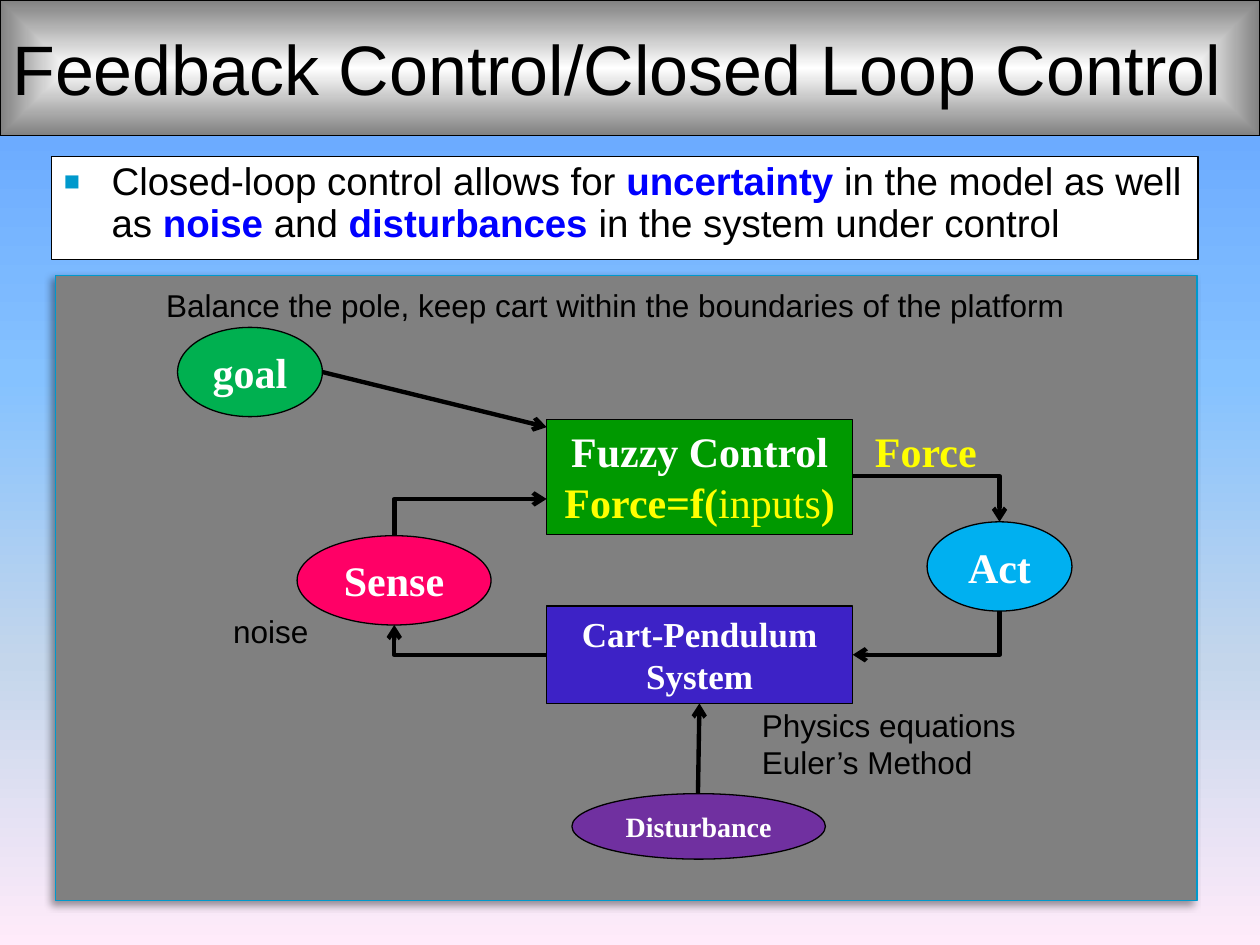
from lxml import etree
from pptx import Presentation
from pptx import util as u
from pptx.dml.color import RGBColor
from pptx.enum import shapes, text
from pptx.oxml import ns

BLACK = RGBColor(0x00, 0x00, 0x00)
WHITE = RGBColor(0xFF, 0xFF, 0xFF)
GREY = RGBColor(0x80, 0x80, 0x80)
TEAL = RGBColor(0x00, 0x99, 0xCC)
BLUE = RGBColor(0x00, 0x00, 0xFF)
YELLOW = RGBColor(0xFF, 0xFF, 0x00)
GREEN = RGBColor(0x00, 0xB0, 0x50)
DARK_GREEN = RGBColor(0x00, 0x99, 0x00)
INDIGO = RGBColor(0x3D, 0x22, 0xC6)
SKY = RGBColor(0x00, 0xB0, 0xF0)
PINK = RGBColor(0xFF, 0x00, 0x66)
PURPLE = RGBColor(0x70, 0x30, 0xA0)
SKY_STOPS = [(0, RGBColor(0x5E, 0x9E, 0xFF)), (40, RGBColor(0x85, 0xC2, 0xFF)),
             (70, RGBColor(0xC4, 0xD6, 0xEB)), (100, RGBColor(0xFF, 0xEB, 0xFA))]
STEEL_STOPS = [(0, WHITE), (100, GREY)]

RECT = shapes.MSO_SHAPE.RECTANGLE
OVAL = shapes.MSO_SHAPE.OVAL
CENTER = text.PP_ALIGN.CENTER
PLAIN = {"name": "Arial", "size": u.Pt(18), "bold": False}
BODY = {**PLAIN, "size": u.Pt(22)}
TITLE = {**PLAIN, "size": u.Pt(40)}
NODE = {"name": "Times New Roman", "size": u.Pt(24), "bold": True}


def add_xml(parent, tag, **attributes):
    return etree.SubElement(parent, ns.qn(tag), attributes)


class Diagram:
    def __init__(self, page):
        self.page = page
        self.line_width = u.Pt(0.75)
        self.arrow_width = u.Pt(2.5)

    def gradient(self, fill, stops, holder):
        """Give a fill colour stops; the holder is the element around it."""
        fill.gradient()
        grad = holder.find(".//" + ns.qn("a:gradFill"))
        for child in list(grad):
            grad.remove(child)
        stop_list = add_xml(grad, "a:gsLst")
        for percent, color in stops:
            stop = add_xml(stop_list, "a:gs", pos=str(percent * 1000))
            add_xml(stop, "a:srgbClr", val=str(color))
        return grad

    def backdrop(self, stops):
        background = self.page.background
        grad = self.gradient(background.fill, stops, self.page._element)
        add_xml(grad, "a:lin", ang="5400000", scaled="0")

    def box(self, kind, place, color, line=BLACK):
        box = self.page.shapes.add_shape(kind, *map(u.Cm, place))
        box.shadow.inherit = False
        box.fill.solid()
        box.fill.fore_color.rgb = color
        box.line.color.rgb = line
        box.line.width = self.line_width
        return box

    def drop_shadow(self, box):
        effects = box._element.spPr.find(ns.qn("a:effectLst"))
        shadow = add_xml(effects, "a:outerShdw", blurRad="50800", dist="38100",
                         dir="8100000", algn="tr", rotWithShape="0")
        color = add_xml(shadow, "a:srgbClr", val=str(BLACK))
        add_xml(color, "a:alpha", val="40000")

    def fill_text(self, box, paragraphs, style, align=None, wrap=True,
                  anchor=text.MSO_ANCHOR.TOP):
        """Each paragraph is a list of (wording, colour, changes of style)."""
        frame = box.text_frame
        frame.word_wrap = wrap
        frame.vertical_anchor = anchor
        for number, spans in enumerate(paragraphs):
            para = frame.add_paragraph() if number else frame.paragraphs[0]
            para.alignment = align or text.PP_ALIGN.LEFT
            for wording, color, *changes in spans:
                span = para.add_run()
                span.text = wording
                span.font.color.rgb = color
                values = {**style, **(changes[0] if changes else {})}
                for name, value in values.items():
                    setattr(span.font, name, value)
        return frame

    def title(self, wording, place):
        box = self.box(RECT, place, WHITE)
        grad = self.gradient(box.fill, STEEL_STOPS, box._element)
        center = add_xml(grad, "a:path", path="rect")
        add_xml(center, "a:fillToRect", l="50000", t="50000", r="50000", b="50000")
        self.fill_text(box, [[(wording, BLACK)]], TITLE, wrap=False,
                       anchor=text.MSO_ANCHOR.MIDDLE)

    def bullet(self, spans, place):
        box = self.box(RECT, place, WHITE)
        para = self.fill_text(box, [spans], BODY).paragraphs[0]
        para.line_spacing = 0.9
        props = para._p.get_or_add_pPr()
        props.set("marL", str(u.Cm(0.96)))
        props.set("indent", str(u.Cm(-0.96)))
        add_xml(add_xml(props, "a:buClr"), "a:srgbClr", val=str(TEAL))
        add_xml(props, "a:buSzPct", val="70000")
        add_xml(props, "a:buFont", typeface="Arial")
        add_xml(props, "a:buChar", char="■")

    def node(self, kind, place, color, paragraphs, size=24):
        box = self.box(kind, place, color)
        self.fill_text(box, paragraphs, {**NODE, "size": u.Pt(size)}, CENTER)

    def label(self, wording, place, style=PLAIN, color=BLACK, align=None):
        box = self.page.shapes.add_textbox(*map(u.Cm, place))
        self.fill_text(box, [[(wording, color)]], style, align, wrap=False)

    def arrow(self, start, end, bend=None):
        """A bend of "across" or "down" names the first leg of an elbow."""
        (x1, y1), (x2, y2) = start, end
        if bend == "down":  # lay the elbow on its side, then turn it by 90 degrees
            mid_x, mid_y = (x1 + x2) / 2, (y1 + y2) / 2
            half_w, half_h = (x2 - x1) / 2, (y2 - y1) / 2
            x1, y1 = mid_x - half_h, mid_y + half_w
            x2, y2 = mid_x + half_h, mid_y - half_w
        kind = shapes.MSO_CONNECTOR.ELBOW if bend else shapes.MSO_CONNECTOR.STRAIGHT
        arrow = self.page.shapes.add_connector(kind, *map(u.Cm, (x1, y1, x2, y2)))
        arrow.line.color.rgb = BLACK
        arrow.line.width = self.arrow_width
        props = arrow._element.spPr
        if bend:
            props.find(ns.qn("a:prstGeom")).set("prst", "bentConnector2")
        if bend == "down":
            props.find(ns.qn("a:xfrm")).set("rot", "5400000")
        add_xml(props.find(ns.qn("a:ln")), "a:tailEnd", type="arrow")
        add_xml(props, "a:effectLst")


def main():
    deck = Presentation()
    deck.slide_width, deck.slide_height = u.Cm(25.4), u.Cm(19.05)
    diagram = Diagram(deck.slides.add_slide(deck.slide_layouts[6]))

    # Background, panel and heading
    diagram.backdrop(SKY_STOPS)
    panel = diagram.box(RECT, (1.12, 5.56, 23.01, 12.6), GREY, TEAL)
    diagram.drop_shadow(panel)
    diagram.title("Feedback Control/Closed Loop Control", (0, 0, 25.4, 2.74))
    strong = {"bold": True}
    diagram.bullet([
        ("Closed-loop control allows for ", BLACK), ("uncertainty ", BLUE, strong),
        ("in the model as well as ", BLACK), ("noise", BLUE, strong),
        (" and ", BLACK), ("disturbances ", BLUE, strong),
        ("in the system under control", BLACK)], (1.04, 3.15, 23.11, 2.08))

    # Nodes of the loop
    formula = [("Force=f(", YELLOW), ("inputs", YELLOW, {"bold": False}), (")", YELLOW)]
    diagram.node(OVAL, (3.58, 6.6, 2.92, 1.8), GREEN, [[("goal", WHITE)]])
    diagram.node(RECT, (11.02, 8.46, 6.17, 2.31), DARK_GREEN,
                 [[("Fuzzy Control", WHITE)], formula])
    diagram.node(RECT, (11.02, 12.22, 6.17, 1.96), INDIGO,
                 [[("Cart-Pendulum System", WHITE)]], 20)
    diagram.node(OVAL, (18.69, 10.52, 2.92, 1.8), SKY, [[("Act", WHITE)]])
    diagram.node(OVAL, (5.99, 10.8, 3.91, 1.8), PINK, [[("Sense", WHITE)]])
    diagram.node(OVAL, (11.53, 16, 5.11, 1.32), PURPLE, [[("Disturbance", WHITE)]], 16)

    # Arrows between the nodes
    for start, end, bend in [
            ((6.5, 7.5), (11.02, 8.61), None),
            ((17.19, 9.6), (20.15, 10.52), "across"),
            ((20.15, 12.32), (17.19, 13.2), "down"),
            ((14.07, 16), (14.1, 14.18), None),
            ((7.95, 10.8), (11.02, 10.06), "down"),
            ((11.02, 13.2), (7.95, 12.6), "across")]:
        diagram.arrow(start, end, bend)

    # Labels
    diagram.label("Force", (17.37, 8.46, 2.59, 1.27), NODE, YELLOW, CENTER)
    for wording, left, top, width in [
            ("noise", 4.45, 12.22, 2.06),
            ("Physics equations", 15.11, 14.1, 5.69),
            ("Euler’s Method", 15.11, 14.86, 4.8),
            ("Balance the pole, keep cart within the boundaries of the platform",
             3.1, 5.64, 18.8)]:
        diagram.label(wording, (left, top, width, 1.02))

    deck.save("out.pptx")


if __name__ == "__main__":
    main()
